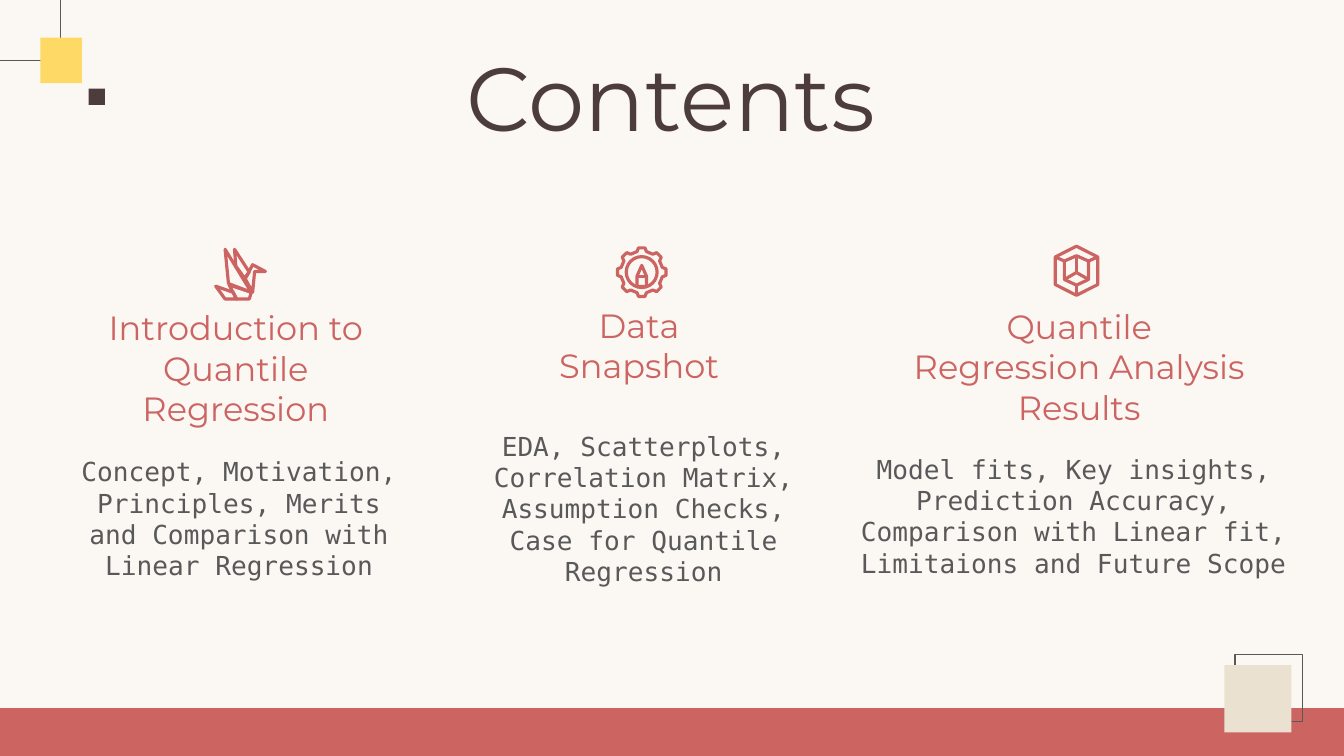
from math import cos, radians, sin

from lxml import etree
from pptx import Presentation
from pptx.dml.color import RGBColor
from pptx.enum.shapes import MSO_CONNECTOR, MSO_SHAPE
from pptx.enum.text import MSO_ANCHOR, MSO_AUTO_SIZE, PP_ALIGN
from pptx.oxml.ns import qn
from pptx.util import Inches, Pt

CREAM = RGBColor(0xFB, 0xF8, 0xF4)
RED = RGBColor(0xCC, 0x64, 0x62)
BROWN = RGBColor(0x4D, 0x3C, 0x3C)
YELLOW = RGBColor(0xFF, 0xD9, 0x66)
BEIGE = RGBColor(0xEB, 0xE1, 0xD0)
GREY = RGBColor(0x59, 0x59, 0x59)
HEADING_FONT = "Montserrat"
BODY_FONT = "DejaVu Sans Mono"


def write(box, text, font_name, size, color, anchor):
    """Fill a title or text box with one centred paragraph."""
    frame = box.text_frame
    frame.word_wrap = True
    frame.auto_size = MSO_AUTO_SIZE.NONE
    frame.vertical_anchor = anchor
    frame.margin_left = frame.margin_right = Inches(0.1)
    frame.margin_top = frame.margin_bottom = Inches(0.1)
    frame.text = text
    paragraph = frame.paragraphs[0]
    paragraph.alignment = PP_ALIGN.CENTER
    font = paragraph.runs[0].font
    font.name, font.size, font.color.rgb = font_name, Pt(size), color


def style(shape, fill=None, line=None, width=0.75):
    """Give a shape a plain fill and outline; None leaves either out."""
    shape.shadow.inherit = False
    if fill is None:
        shape.fill.background()
    else:
        shape.fill.solid()
        shape.fill.fore_color.rgb = fill
    if line is None:
        shape.line.fill.background()
    else:
        shape.line.color.rgb = line
        shape.line.width = Pt(width)


prs = Presentation()
prs.slide_width = Inches(10)
prs.slide_height = Inches(10) * 9 // 16
slide = prs.slides.add_slide(prs.slide_layouts[5])
slide.background.fill.solid()
slide.background.fill.fore_color.rgb = CREAM
shapes = slide.shapes

# Corner lines, squares and bottom band
for start_x, start_y in [(0, 0.45), (0.45, 0)]:
    corner_line = shapes.add_connector(
        MSO_CONNECTOR.STRAIGHT,
        Inches(start_x), Inches(start_y), Inches(0.45), Inches(0.45))
    corner_line.line.color.rgb = GREY
    corner_line.line.width = Pt(0.75)
    etree.SubElement(corner_line._element.spPr, qn("a:effectLst"))

for left, top, width, height, fill, line in [
    (0.3, 0.28, 0.31, 0.34, YELLOW, None),
    (0.66, 0.66, 0.12, 0.12, BROWN, None),
    (0, 5.27, 10, 0.37, RED, None),
    (9.19, 4.87, 0.5, 0.5, None, GREY),
    (9.11, 4.95, 0.5, 0.5, BEIGE, None),
]:
    block = shapes.add_shape(MSO_SHAPE.RECTANGLE, Inches(left), Inches(top),
                             Inches(width), Inches(height))
    style(block, fill, line)

title = shapes.title
title.left, title.top = Inches(0.33), Inches(0.4)
title.width, title.height = Inches(9.32), Inches(0.63)
write(title, "Contents", HEADING_FONT, 48, BROWN, MSO_ANCHOR.MIDDLE)

# Each section: heading and its left, top, width; then the same for the details
sections = [
    ("Introduction to Quantile Regression", 0.47, 2.56, 2.57,
     "Concept, Motivation, Principles, Merits and Comparison with "
     "Linear Regression", 0.5, 3.29, 2.56),
    ("Data Snapshot", 3.76, 2.39, 1.99,
     "EDA, Scatterplots, Correlation Matrix, Assumption Checks, "
     "Case for Quantile Regression", 3.47, 3.1, 2.64),
    ("Quantile Regression Analysis Results", 6.69, 2.55, 2.68,
     "Model fits, Key insights, Prediction Accuracy, Comparison with "
     "Linear fit, Limitaions and Future Scope", 6.25, 3.27, 3.48),
]
for (heading, heading_left, heading_top, heading_width,
     details, details_left, details_top, details_width) in sections:
    heading_box = shapes.add_textbox(Inches(heading_left), Inches(heading_top),
                                     Inches(heading_width), Inches(0.35))
    write(heading_box, heading, HEADING_FONT, 18, RED, MSO_ANCHOR.MIDDLE)
    details_box = shapes.add_textbox(Inches(details_left), Inches(details_top),
                                     Inches(details_width), Inches(1.18))
    write(details_box, details, BODY_FONT, 14, GREY, MSO_ANCHOR.TOP)

# Icon outlines, in thousandths of an inch from the icon's top left corner
bird = [
    [(85, 15), (110, 270), (280, 335)],
    [(155, 15), (165, 140), (230, 230), (265, 185)],
    [(290, 130), (385, 180), (305, 180), (290, 335), (235, 235)],
    [(15, 290), (145, 335), (170, 385), (85, 385)],
    [(115, 280), (280, 335), (265, 385), (170, 385)],
]
gear_rim = []
for tooth in range(8):
    for offset, radius in [(-13, 157), (-7.5, 183), (7.5, 183), (13, 157)]:
        angle = radians(45 * tooth + offset)
        gear_rim.append((195 + radius * sin(angle), 195 - radius * cos(angle)))
gear = [
    gear_rim,
    [(160, 302), (160, 225), (195, 145), (230, 225), (230, 302)],
    [(160, 225), (230, 225)],
]
cube = [
    [(170, 12), (328, 92), (328, 298), (170, 378), (12, 298), (12, 92)],
    [(170, 83), (260, 123), (260, 260), (170, 302), (80, 260), (80, 123)],
    [(170, 83), (170, 208)],
    [(80, 260), (170, 208)],
    [(260, 260), (170, 208)],
    [(12, 92), (80, 123)],
    [(328, 92), (260, 123)],
    [(170, 302), (170, 378)],
]
for left, top, outlines in [
    (1.59, 1.84, bird), (4.58, 1.83, gear), (7.84, 1.82, cube),
]:
    builder = shapes.build_freeform(*outlines[0][0], scale=Inches(0.001))
    builder.add_line_segments(outlines[0][1:], close=True)
    for outline in outlines[1:]:
        builder.move_to(*outline[0])
        builder.add_line_segments(outline[1:], close=len(outline) > 2)
    icon = builder.convert_to_shape(Inches(left), Inches(top))
    style(icon, line=RED, width=1.7)

gear_ring = shapes.add_shape(MSO_SHAPE.OVAL, Inches(4.66), Inches(1.91),
                             Inches(0.23), Inches(0.23))
style(gear_ring, line=RED, width=1.7)

prs.save("out.pptx")
